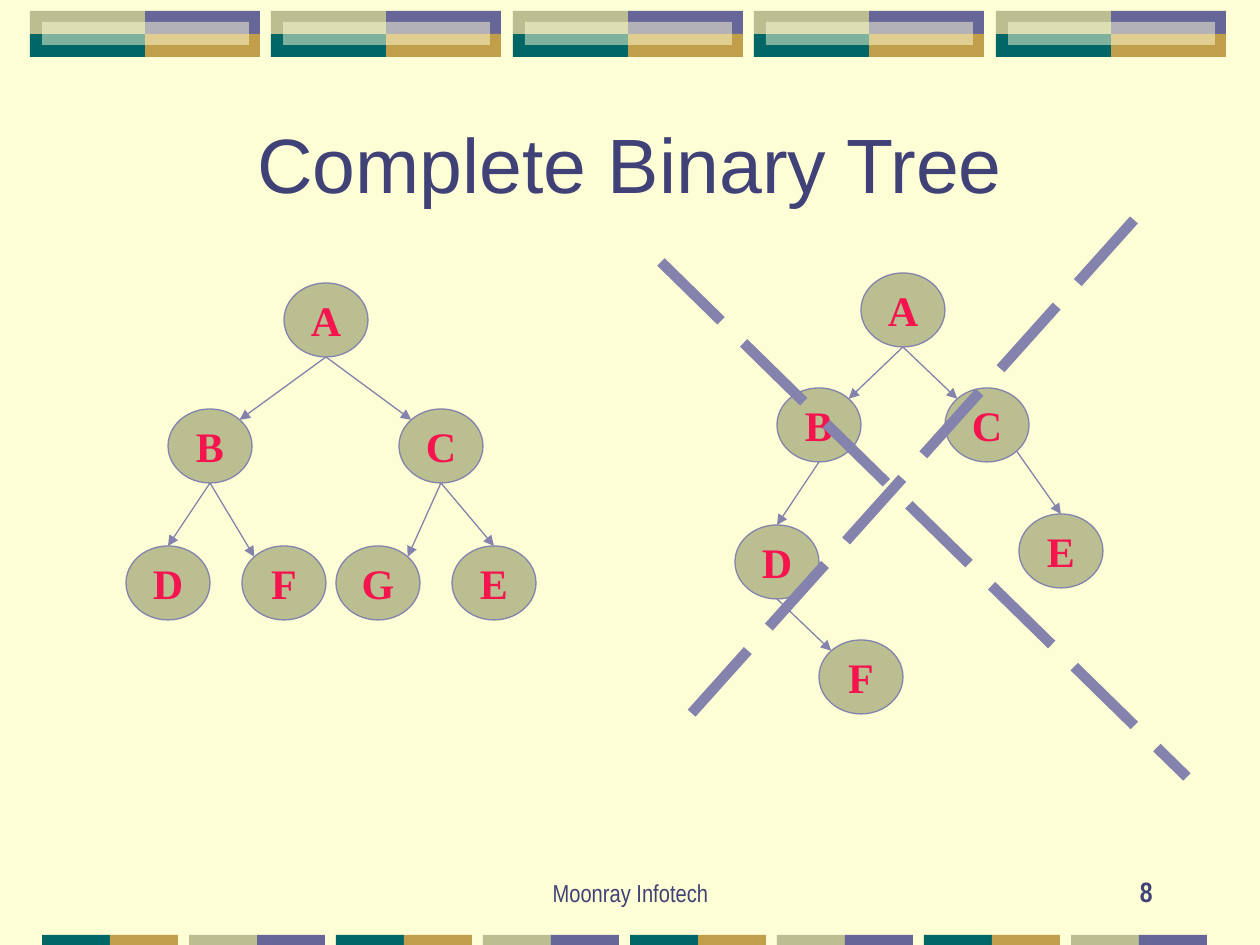
from dataclasses import dataclass
from math import sqrt

from lxml import etree
from pptx import Presentation
from pptx.dml.color import RGBColor
from pptx.enum.dml import MSO_LINE
from pptx.enum.shapes import MSO_CONNECTOR, MSO_SHAPE
from pptx.enum.text import MSO_ANCHOR, MSO_AUTO_SIZE, PP_ALIGN
from pptx.oxml.ns import qn
from pptx.util import Inches, Pt

PX = Inches(1) // 126
CENTER, RIGHT = PP_ALIGN.CENTER, PP_ALIGN.RIGHT
MIDDLE, BOTTOM = MSO_ANCHOR.MIDDLE, MSO_ANCHOR.BOTTOM
RECTANGLE, ELLIPSE = MSO_SHAPE.RECTANGLE, MSO_SHAPE.OVAL
STRAIGHT, LONG_DASH = MSO_CONNECTOR.STRAIGHT, MSO_LINE.LONG_DASH


@dataclass(frozen=True)
class Theme:
    cream: RGBColor = RGBColor.from_string("FEFED6")
    olive: RGBColor = RGBColor.from_string("BABE90")
    purple: RGBColor = RGBColor.from_string("666699")
    teal: RGBColor = RGBColor.from_string("006666")
    gold: RGBColor = RGBColor.from_string("C09E4A")
    navy: RGBColor = RGBColor.from_string("404176")
    line: RGBColor = RGBColor.from_string("8383AD")
    letter: RGBColor = RGBColor.from_string("F6144F")
    title_size: int = 44
    node_size: int = 24
    number_size: int = 16
    footer_size: int = 14


theme = Theme()


def write_text(shape, text, *, size, font, color, bold=False,
               align=CENTER, anchor=MIDDLE, wrap=True):
    frame = shape.text_frame
    frame.auto_size = MSO_AUTO_SIZE.NONE
    frame.word_wrap = wrap
    frame.vertical_anchor = anchor
    paragraph = frame.paragraphs[0]
    paragraph.alignment = align
    run = paragraph.add_run()
    run.text = text
    run.font.size = Pt(size)
    run.font.name = font
    run.font.bold = bold
    run.font.color.rgb = color


def draw_line(start, end, width):
    """Add a straight line without a shadow between two points in px."""
    connector = slide.shapes.add_connector(
        STRAIGHT, *(round(value * PX) for value in (*start, *end)))
    connector.line.color.rgb = theme.line
    connector.line.width = Pt(width)
    etree.SubElement(connector._element.spPr, qn("a:effectLst"))
    return connector


presentation = Presentation()
presentation.slide_width = Inches(10)
presentation.slide_height = Inches(7.5)
slide = presentation.slides.add_slide(presentation.slide_layouts[5])
slide.background.fill.solid()
slide.background.fill.fore_color.rgb = theme.cream

# Decorative bands: left, top, width, height, colour, opacity in percent
tiles = []
for index in range(5):
    left = 30 + 483 * index // 2
    tiles += [
        (left + 115, 11, 115, 23, theme.purple, 100),
        (left + 115, 34, 115, 23, theme.gold, 100),
        (left, 34, 115, 23, theme.teal, 100),
        (left, 11, 115, 23, theme.olive, 100),
        (left + 12, 22, 207, 23, theme.cream, 50),
    ]
for index in range(8):
    left = 42 + 147 * index
    pair = (theme.olive, theme.purple) if index % 2 else (theme.teal, theme.gold)
    tiles += [(left + 68 * side, 935, 68, 10, color, 100)
              for side, color in enumerate(pair)]

for *box, color, opacity in tiles:
    tile = slide.shapes.add_shape(RECTANGLE, *(value * PX for value in box))
    tile.shadow.inherit = False
    tile.fill.solid()
    tile.fill.fore_color.rgb = color
    tile.line.fill.background()
    if opacity < 100:
        color_element = tile._element.spPr.find(".//" + qn("a:srgbClr"))
        etree.SubElement(color_element, qn("a:alpha"), val=str(opacity * 1000))

# Title and footer
title = slide.shapes.title
title.left, title.top, title.width, title.height = (
    value * PX for value in (94, 84, 1072, 158))
write_text(title, "Complete Binary Tree", size=theme.title_size,
           font="Arial", color=theme.navy)

footer = slide.shapes.add_textbox(431 * PX, 851 * PX, 399 * PX, 63 * PX)
write_text(footer, "Moonray Infotech", size=theme.footer_size,
           font="Arial Narrow", color=theme.navy, anchor=BOTTOM)
number = slide.shapes.add_textbox(903 * PX, 851 * PX, 262 * PX, 63 * PX)
write_text(number, "8", size=theme.number_size, font="Arial Narrow",
           color=theme.navy, bold=True, align=RIGHT, anchor=BOTTOM)

# Trees: left and top of each node, then (parent, site, child, site)
NODE_WIDTH, NODE_HEIGHT = 84, 74
DIAGONAL = sqrt(0.5)
SITES = {
    "top": (0, -1),
    "top left": (-DIAGONAL, -DIAGONAL),
    "top right": (DIAGONAL, -DIAGONAL),
    "bottom": (0, 1),
    "bottom right": (DIAGONAL, DIAGONAL),
}
complete_tree = (
    {"A": (284, 283), "B": (168, 409), "C": (399, 409), "D": (126, 546),
     "F": (242, 546), "E": (452, 546), "G": (336, 546)},
    [("A", "bottom", "C", "top left"), ("A", "bottom", "B", "top right"),
     ("B", "bottom", "D", "top"), ("B", "bottom", "F", "top left"),
     ("C", "bottom", "E", "top"), ("C", "bottom", "G", "top right")],
)
incomplete_tree = (
    {"A": (861, 273), "B": (777, 388), "C": (945, 388), "D": (735, 525),
     "F": (819, 640), "E": (1019, 514)},
    [("A", "bottom", "C", "top left"), ("A", "bottom", "B", "top right"),
     ("B", "bottom", "D", "top"), ("D", "bottom", "F", "top left"),
     ("C", "bottom right", "E", "top")],
)

for nodes, edges in (complete_tree, incomplete_tree):
    for letter, (left, top) in nodes.items():
        node = slide.shapes.add_shape(
            ELLIPSE, left * PX, top * PX, NODE_WIDTH * PX, NODE_HEIGHT * PX)
        node.shadow.inherit = False
        node.fill.solid()
        node.fill.fore_color.rgb = theme.olive
        node.line.color.rgb = theme.line
        node.line.width = Pt(0.75)
        write_text(node, letter, size=theme.node_size, font="Times New Roman",
                   color=theme.letter, bold=True, wrap=False)
    for parent, parent_site, child, child_site in edges:
        start, end = (
            (nodes[letter][0] + NODE_WIDTH / 2 * (1 + SITES[site][0]),
             nodes[letter][1] + NODE_HEIGHT / 2 * (1 + SITES[site][1]))
            for letter, site in ((parent, parent_site), (child, child_site)))
        arrow = draw_line(start, end, 0.75)
        etree.SubElement(arrow.line._get_or_add_ln(), qn("a:tailEnd"),
                         type="triangle")

# Cross over the tree that is not complete
for start, end in (((661, 262), (1187, 777)), ((1134, 220), (682, 724))):
    stroke = draw_line(start, end, 6)
    stroke.line.dash_style = LONG_DASH

presentation.save("out.pptx")
